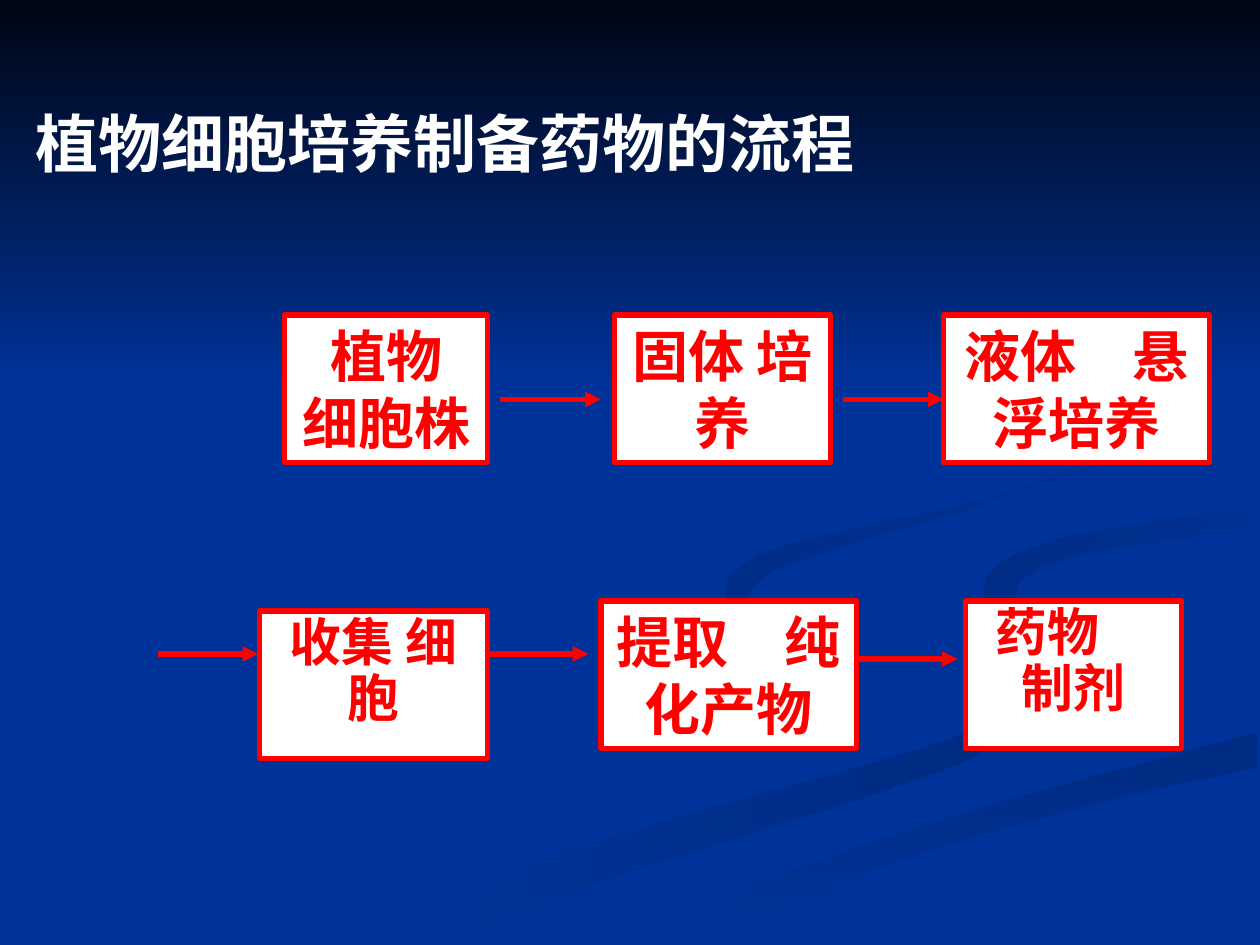
from lxml import etree
from pptx import Presentation
from pptx import util as u
from pptx.dml.color import RGBColor
from pptx.enum import shapes, text
from pptx.oxml import ns

BLUE = RGBColor(0x00, 0x33, 0x99)
DEEP = RGBColor(0x00, 0x2B, 0x82)
NIGHT = RGBColor(0x00, 0x05, 0x14)
RED = RGBColor(0xFF, 0x00, 0x00)
WHITE = RGBColor(0xFF, 0xFF, 0xFF)
CJK = "Noto Sans CJK SC"
COLUMNS = 1000
CURVE_STEPS = 16

deck = Presentation()
deck.slide_width = u.Inches(10)
deck.slide_height = u.Inches(7.5)
cell = deck.slide_width // COLUMNS
page = deck.slides.add_slide(deck.slide_layouts[6])
page.background.fill.solid()
page.background.fill.fore_color.rgb = BLUE


def shade(shape, start, end, angle):
    shape.shadow.inherit = False
    shape.line.fill.background()
    shape.fill.gradient()
    shape.fill.gradient_angle = -angle % 360
    for stop, color in zip(shape.fill.gradient_stops, (start, end)):
        stop.color.rgb = color


def add_span(para, words, size, latin, color):
    span = para.add_run()
    span.text = words
    span.font.size = u.Pt(size)
    span.font.bold = True
    span.font.color.rgb = color
    span.font.name = latin
    east_asian = etree.SubElement(span.font._element, ns.qn("a:ea"))
    east_asian.set("typeface", CJK)


ribbons = [
    ([(300, 749), (430, 660), (640, 630), (786, 575)],
     [(361, 749), (500, 675), (780, 620), (800, 581)], BLUE, DEEP, 0),
    ([(503, 749), (650, 670), (820, 630), (998, 581)],
     [(571, 749), (660, 690), (820, 645), (998, 609)], DEEP, BLUE, 90),
    ([(781, 475), (770, 425), (900, 420), (998, 402)],
     [(806, 476), (800, 440), (900, 432), (998, 420)], DEEP, BLUE, 45),
    ([(577, 474), (560, 420), (760, 420), (889, 362)],
     [(593, 474), (600, 430), (800, 420), (894, 344)], DEEP, BLUE, 45),
]
for upper, lower, start, end, angle in ribbons:
    edges = []
    for controls in (upper, lower):
        edge = []
        for step in range(CURVE_STEPS + 1):
            t = step / CURVE_STEPS
            weights = ((1 - t) ** 3, 3 * t * (1 - t) ** 2, 3 * t * t * (1 - t), t ** 3)
            edge.append(tuple(round(sum(w * c for w, c in zip(weights, axis)))
                              for axis in zip(*controls)))
        edges.append(edge)
    outline = edges[0] + edges[1][::-1]
    builder = page.shapes.build_freeform(*outline[0], scale=cell)
    builder.add_line_segments(outline[1:], close=True)
    shade(builder.convert_to_shape(), start, end, angle)

sky = page.shapes.add_shape(
    shapes.MSO_SHAPE.RECTANGLE, 0, 0, deck.slide_width, 308 * cell)
shade(sky, NIGHT, BLUE, 90)

for left, row in [(397, 317), (669, 317), (125, 519), (387, 519), (680, 523)]:
    arrow = page.shapes.add_connector(
        shapes.MSO_CONNECTOR.STRAIGHT, left * cell, row * cell, (left + 80) * cell, row * cell)
    arrow.line.color.rgb = RED
    arrow.line.width = u.Pt(3)
    head = etree.SubElement(arrow.line._get_or_add_ln(), ns.qn("a:tailEnd"))
    head.set("type", "triangle")
    etree.SubElement(arrow._element.spPr, ns.qn("a:effectLst"))

steps = [
    ("植物 细胞株", 226, 250, 161, 32, 1),
    ("固体 培养", 488, 250, 171, 32, 1),
    ("液体　悬浮培养", 749, 250, 211, 32, 1),
    ("收集 细胞", 206, 485, 181, 29.6, 0.9),
    ("提取　纯化产物", 477, 477, 203, 32, 1),
    ("药物　制剂", 766, 477, 172, 29.6, 0.9),
]
for words, left, top, width, size, spacing in steps:
    box = page.shapes.add_shape(
        shapes.MSO_SHAPE.RECTANGLE, left * cell, top * cell, width * cell, 117 * cell)
    box.shadow.inherit = False
    box.fill.solid()
    box.fill.fore_color.rgb = WHITE
    box.line.color.rgb = RED
    box.line.width = u.Pt(3)
    box.text_frame.word_wrap = True
    box.text_frame.vertical_anchor = text.MSO_ANCHOR.TOP
    para = box.text_frame.paragraphs[0]
    para.alignment = text.PP_ALIGN.CENTER
    para.line_spacing = spacing
    add_span(para, words, size, CJK, RED)

title = page.shapes.add_textbox(18 * cell, 78 * cell, 670 * cell, 70 * cell)
title.text_frame.word_wrap = False
title.text_frame.auto_size = text.MSO_AUTO_SIZE.SHAPE_TO_FIT_TEXT
title.text_frame.vertical_anchor = text.MSO_ANCHOR.MIDDLE
add_span(title.text_frame.paragraphs[0], "植物细胞培养制备药物的流程", 36, "Calibri", WHITE)

deck.save("out.pptx")
